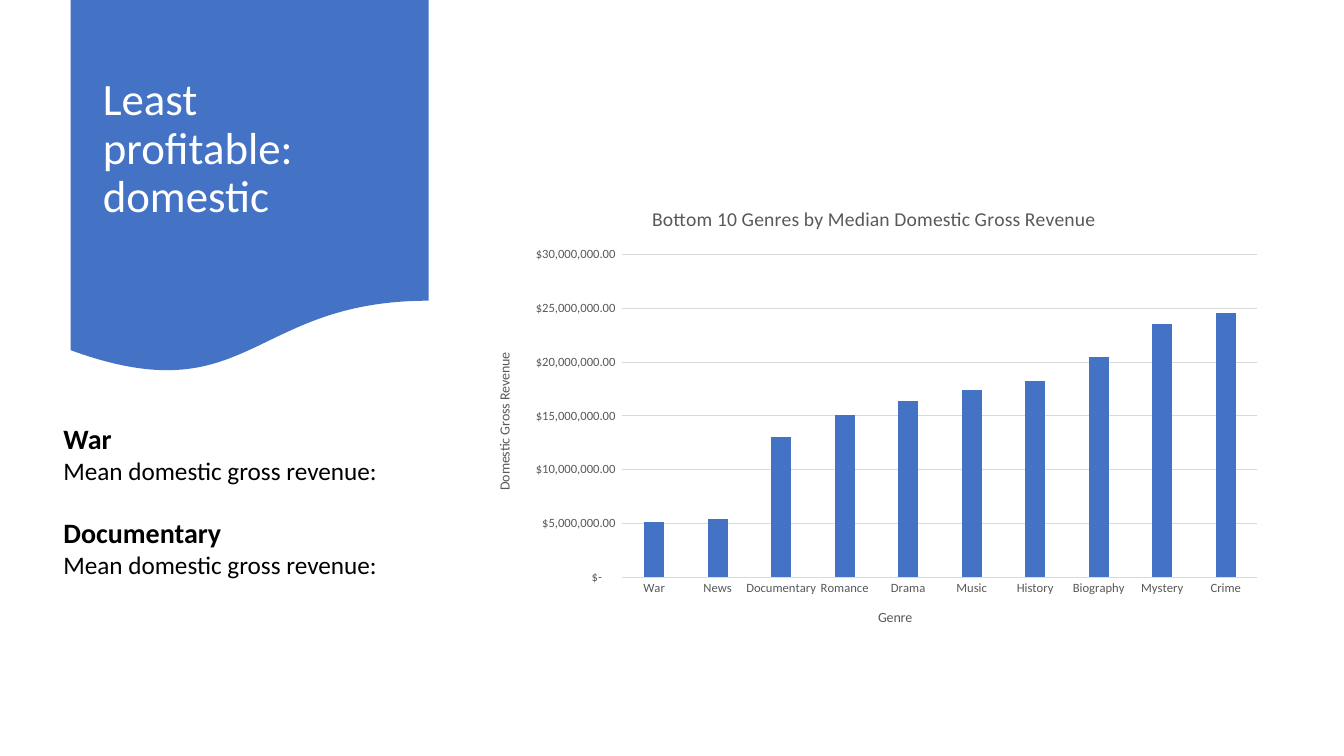
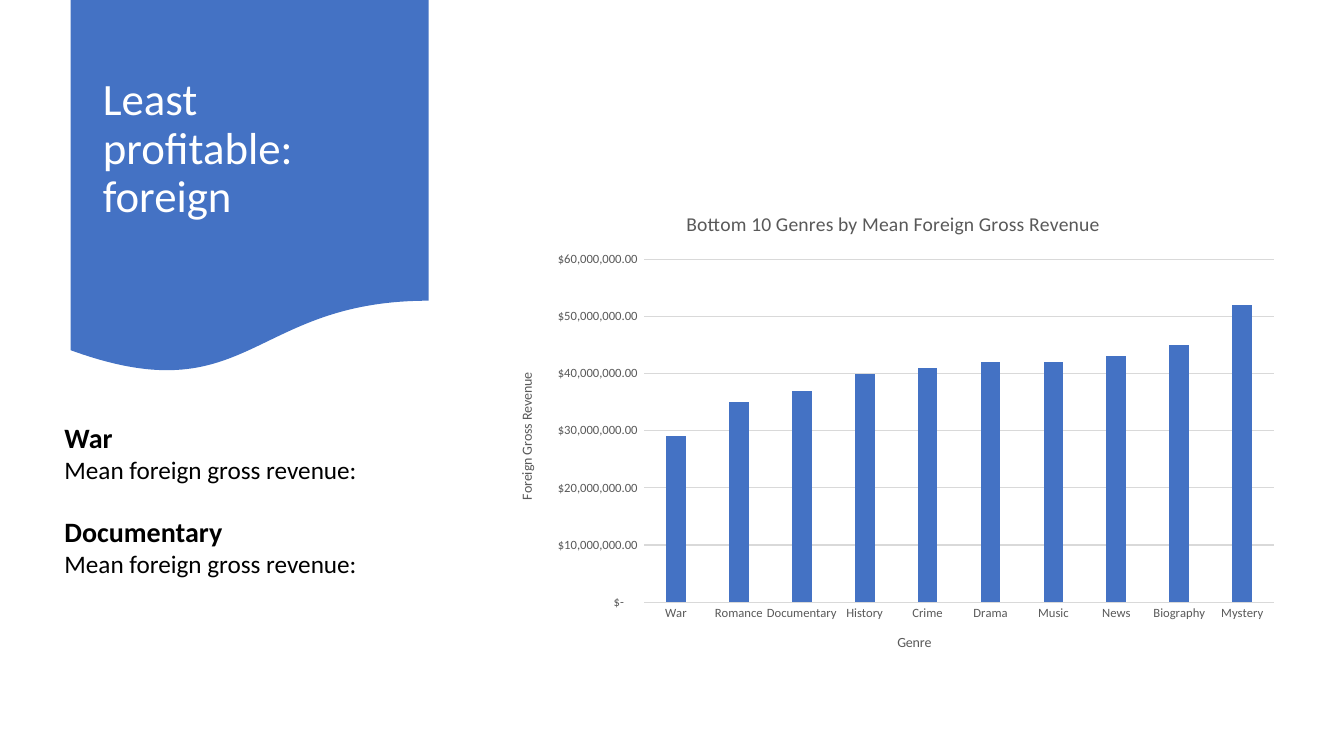
from pptx import Presentation, util as u
from pptx.chart.data import CategoryChartData
from pptx.dml.color import RGBColor
from pptx.enum import chart as ch, shapes, text

# Shared style
FONT = "Calibri"
BLUE, WHITE, BLACK = "4472C4", "FFFFFF", "000000"
GREY, RULE = "595959", "D9D9D9"
WIDTH, HEIGHT = 13.33, 7.5
BAND = (0.7, 0, 3.55, 3.72)
TITLE = (0.92, 0.19, 3.11, 2.59)
DOLLARS = r'_("$"* #,##0.00_);_("$"* \(#,##0.00\);_("$"* "-"??_);_(@_)'
MILLION = 1_000_000


def rgb(value):
    return RGBColor.from_string(value)


def inches(*box):
    return [u.Inches(v) for v in box]


def style(font, size, color, bold=False):
    font.name, font.size, font.bold = FONT, u.Pt(size), bold
    font.color.rgb = rgb(color)


# Blue band with the slide title on it
def add_title(s, words):
    title = s.shapes.title
    title.left, title.top, title.width, title.height = inches(*TITLE)
    tf = title.text_frame
    tf.text = words
    tf.word_wrap = True
    tf.auto_size = text.MSO_AUTO_SIZE.NONE
    tf.vertical_anchor = text.MSO_ANCHOR.MIDDLE
    p = tf.paragraphs[0]
    p.alignment, p.line_spacing = text.PP_ALIGN.LEFT, 0.9
    style(p.runs[0].font, 32, WHITE)

    band = s.shapes.add_shape(shapes.MSO_SHAPE.FLOWCHART_DOCUMENT, *inches(*BAND))
    band.shadow.inherit = False
    band.fill.solid()
    band.fill.fore_color.rgb = rgb(BLUE)
    band.line.fill.background()
    title.element.addprevious(band.element)  # behind the title


# Genre headings, each with a line under it
def add_genres(s, left, top, genres, line):
    tf = s.shapes.add_textbox(*inches(left, top, WIDTH / 2, 1.68)).text_frame
    tf.word_wrap = True
    tf.text = "\n".join(f"{genre}\n{line}" for genre in genres)
    for i, p in enumerate(tf.paragraphs):
        heading = i % 2 == 0
        style(p.runs[0].font, 20 if heading else 18, BLACK, heading)
        if heading and i:
            p.space_before = u.Pt(22)


def caption(owner, words, size):
    tf = owner.text_frame
    tf.text = words
    style(tf.paragraphs[0].runs[0].font, size, GREY)


# Column chart; values are in millions of dollars
def add_columns(s, box, title, axis_title, top_value, step, values):
    data = CategoryChartData(number_format=DOLLARS)
    data.categories = list(values)
    data.add_series("Series 1", [round(v * MILLION) for v in values.values()])
    chart = s.shapes.add_chart(ch.XL_CHART_TYPE.COLUMN_CLUSTERED, *inches(*box), data).chart
    style(chart.font, 10, BLACK)
    chart.has_legend = False
    caption(chart.chart_title, title, 14)
    chart.chart_title.include_in_layout = False

    plot = chart.plots[0]
    plot.gap_width, plot.overlap, plot.vary_by_categories = 219, -27, False
    fill = plot.series[0].format.fill
    fill.solid()
    fill.fore_color.rgb = rgb(BLUE)

    cat, val = chart.category_axis, chart.value_axis
    for axis, words in ((cat, "Genre"), (val, axis_title)):
        caption(axis.axis_title, words, 10)
        style(axis.tick_labels.font, 9, GREY)
        axis.major_tick_mark = axis.minor_tick_mark = ch.XL_TICK_MARK.NONE
    val.minimum_scale, val.maximum_scale = 0, top_value * MILLION
    val.major_unit = step * MILLION
    val.tick_labels.number_format = DOLLARS
    val.tick_labels.number_format_is_linked = False
    val.has_major_gridlines = True
    val.format.line.fill.background()
    for line in (cat.format.line, val.major_gridlines.format.line):
        line.color.rgb = rgb(RULE)
        line.width = u.Pt(0.75)


def add_slide(prs, market, text_at, chart_box, measure, top_value, step, values):
    s = prs.slides.add_slide(prs.slide_layouts.get_by_name("Title Only"))
    revenue = f"{market} Gross Revenue"
    add_title(s, f"Least profitable: {market.lower()}")
    add_genres(s, *text_at, ("War", "Documentary"), f"Mean {revenue.lower()}:")
    add_columns(s, chart_box, f"Bottom 10 Genres by {measure} {revenue}", revenue,
                top_value, step, values)


def main():
    prs = Presentation()
    prs.slide_width, prs.slide_height = inches(WIDTH, HEIGHT)
    add_slide(prs, "Domestic", (0.53, 4.13), (4.71, 1.86, 7.92, 4.55), "Median", 30, 5, {
        "War": 5.1, "News": 5.4, "Documentary": 13, "Romance": 15.1, "Drama": 16.4,
        "Music": 17.4, "History": 18.2, "Biography": 20.5, "Mystery": 23.5, "Crime": 24.6})
    add_slide(prs, "Foreign", (0.54, 4.12), (4.93, 1.9, 7.86, 4.76), "Mean", 60, 10, {
        "War": 29, "Romance": 35, "Documentary": 37, "History": 40, "Crime": 41,
        "Drama": 42, "Music": 42, "News": 43, "Biography": 45, "Mystery": 52})
    prs.save("out.pptx")


if __name__ == "__main__":
    main()
